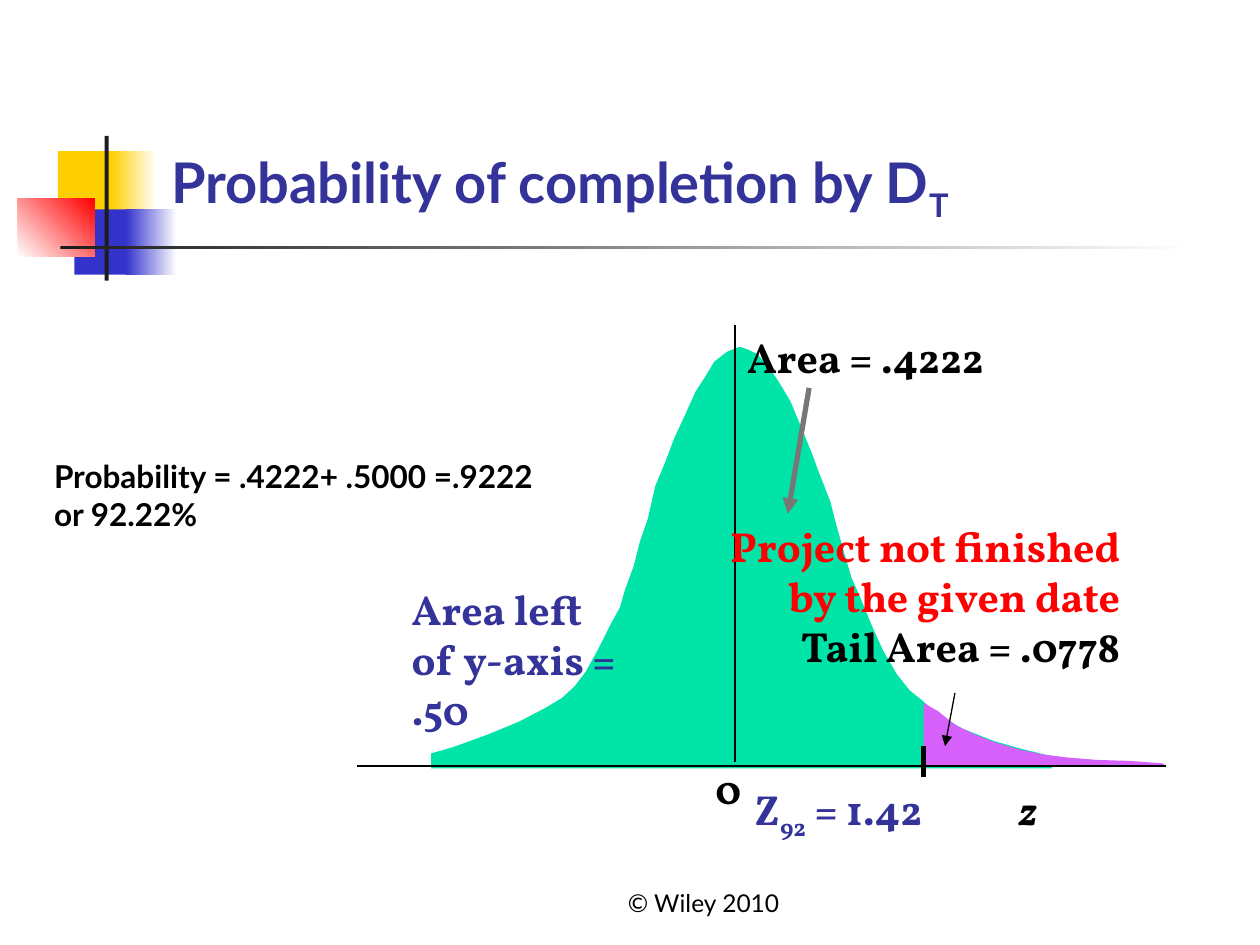
from lxml.etree import SubElement
from pptx import Presentation
from pptx.dml.color import RGBColor
from pptx.enum.shapes import MSO_CONNECTOR, MSO_SHAPE
from pptx.enum.text import MSO_ANCHOR, PP_ALIGN
from pptx.oxml.ns import qn
from pptx.util import Cm, Pt

BLACK = RGBColor(0x00, 0x00, 0x00)
CHARCOAL = RGBColor(0x1C, 0x1C, 0x1C)
GREY = RGBColor(0x77, 0x77, 0x77)
WHITE = RGBColor(0xFF, 0xFF, 0xFF)
YELLOW = RGBColor(0xFF, 0xCF, 0x01)
BLUE = RGBColor(0x33, 0x33, 0xCC)
NAVY = RGBColor(0x33, 0x33, 0x99)
RED = RGBColor(0xFF, 0x00, 0x00)
GREEN = RGBColor(0x00, 0xE4, 0xA8)
VIOLET = RGBColor(0xD5, 0x60, 0xFA)

SANS, SERIF = "Lato", "Vollkorn"
SUBSCRIPT = -25000

# All positions are in centimetres.
# left, top, width, height, colours (two make a gradient), gradient angle
ORNAMENTS = [
    (1.17, 3.05, 1.22, 1.32, [YELLOW], 0),
    (2.24, 3.05, 0.91, 1.32, [YELLOW, WHITE], 0),
    (1.50, 4.22, 1.17, 1.32, [BLUE], 0),
    (2.54, 4.22, 1.02, 1.32, [BLUE, WHITE], 0),
    (0.36, 4.01, 1.55, 1.17, [WHITE, RED], 45),
    (2.11, 2.74, 0.08, 2.92, [CHARCOAL], 0),
    (1.22, 4.95, 22.86, 0.08, [CHARCOAL, WHITE], 0),
]

BELL = [
    (8.69, 15.49), (8.69, 15.19), (9.14, 15.06), (9.83, 14.81), (10.46, 14.55),
    (11.0, 14.27), (11.33, 14.07), (11.58, 13.84), (11.81, 13.54), (12.09, 13.03),
    (12.32, 12.57), (12.5, 12.24), (12.6, 11.89), (12.78, 11.4), (12.9, 10.92),
    (13.06, 10.46), (13.21, 9.8), (13.41, 9.32), (13.59, 8.84), (13.79, 8.41),
    (14.02, 7.9), (14.22, 7.59), (14.4, 7.29), (14.66, 7.09), (14.91, 6.99),
    (15.06, 7.04), (15.27, 7.14), (15.47, 7.37), (15.67, 7.65), (15.93, 8.08),
    (16.13, 8.56), (16.38, 9.17), (16.48, 9.45), (16.74, 10.11), (16.87, 10.62),
    (17.02, 11.15), (17.17, 11.66), (17.32, 11.99), (17.58, 12.62), (17.81, 13.13),
    (18.08, 13.59), (18.34, 13.92), (18.59, 14.12), (18.85, 14.35), (19.38, 14.68),
    (20.04, 14.94), (20.57, 15.09), (21.18, 15.24), (21.21, 15.49),
]
TAIL = [
    (18.62, 14.17), (18.9, 14.33), (19.25, 14.61), (19.66, 14.81), (20.04, 14.96),
    (20.55, 15.11), (21.03, 15.21), (21.51, 15.27), (22.12, 15.32), (22.78, 15.34),
    (23.44, 15.39), (23.5, 15.44), (18.62, 15.44),
]

# start, end, colour, width in points, arrowhead at the end
LINES = [
    ((7.19, 15.44), (23.5, 15.44), BLACK, 1, False),
    ((14.81, 6.55), (14.81, 15.37), BLACK, 1, False),
    ((16.31, 7.82), (15.88, 10.36), GREY, 3, True),
    ((19.25, 13.97), (19.05, 15.04), BLACK, 0.75, True),
    ((18.62, 15.04), (18.62, 15.67), BLACK, 3, False),
]

LABEL = {"name": SERIF, "size": Pt(24), "bold": True}
TITLE = {"name": SANS, "size": Pt(32), "bold": True}
RESULT = {"name": SANS, "size": Pt(18), "bold": True}
FOOTER = {"name": SANS, "size": Pt(14)}
Z_AXIS = {**LABEL, "italic": True}

LEFT = {"alignment": PP_ALIGN.LEFT}
RIGHT = {"alignment": PP_ALIGN.RIGHT}
CENTER = {"alignment": PP_ALIGN.CENTER}
TOP, BOTTOM = MSO_ANCHOR.TOP, MSO_ANCHOR.BOTTOM

# box, font, paragraph format, anchor, wrap, paragraphs of (text, colour, baseline)
TEXTS = [
    ((10.16, 17.35, 8.05, 1.27), FOOTER, CENTER, BOTTOM, True,
     [[("© Wiley 2010", BLACK, 0)]]),
    ((3.2, 0.58, 21.64, 4.06), TITLE, LEFT, BOTTOM, True,
     [[("Probability of completion by D", NAVY, 0), ("T", NAVY, SUBSCRIPT)]]),
    ((14.96, 15.67, 4.19, 1.4), LABEL, LEFT, TOP, False,
     [[("Z", NAVY, 0), ("92", NAVY, SUBSCRIPT), (" = 1.42", NAVY, 0)]]),
    ((20.29, 15.67, 0.97, 1.27), Z_AXIS, LEFT, TOP, False, [[("z", BLACK, 0)]]),
    ((14.17, 15.24, 0.91, 1.27), LABEL, LEFT, TOP, True, [[("0", BLACK, 0)]]),
    ((14.4, 10.36, 8.43, 4.32), LABEL, RIGHT, TOP, True,
     [[("Project not finished", RED, 0)],
      [("by the given date", RED, 0)],
      [("Tail Area = .0778", BLACK, 0)]]),
    ((14.81, 6.55, 5.64, 1.27), LABEL, LEFT, TOP, False,
     [[("Area = .4222", BLACK, 0)]]),
    ((8.05, 11.63, 4.65, 3.3), LABEL, LEFT, TOP, True,
     [[("Area left of y-axis = .50", NAVY, 0)]]),
    ((0.84, 9.09, 10.8, 1.78), RESULT, LEFT, TOP, True,
     [[("Probability = .4222+ .5000 =.9222 or 92.22%", BLACK, 0)]]),
]


def set_attributes(target, values):
    for key, value in values.items():
        setattr(target, key, value)


def paint(shape, colours, angle=0):
    shape.shadow.inherit = False
    shape.line.fill.background()
    if len(colours) == 1:
        shape.fill.solid()
        shape.fill.fore_color.rgb = colours[0]
        return
    shape.fill.gradient()
    shape.fill.gradient_angle = angle
    for stop, colour in zip(shape.fill.gradient_stops, colours):
        stop.color.rgb = colour


def add_area(shapes, outline, colour):
    start, *rest = [(Cm(x), Cm(y)) for x, y in outline]
    builder = shapes.build_freeform(*start)
    builder.add_line_segments(rest, close=True)
    paint(builder.convert_to_shape(), [colour])


def add_line(shapes, start, end, colour, width, arrow):
    ends = [Cm(value) for value in start + end]
    connector = shapes.add_connector(MSO_CONNECTOR.STRAIGHT, *ends)
    connector.line.color.rgb = colour
    connector.line.width = Pt(width)
    if arrow:
        SubElement(connector.line._get_or_add_ln(), qn("a:tailEnd"), type="triangle")
    SubElement(connector._element.spPr, qn("a:effectLst"))


def add_text(shapes, box, font, layout, anchor, wrap, paragraphs):
    frame = shapes.add_textbox(*map(Cm, box)).text_frame
    set_attributes(frame, {"word_wrap": wrap, "vertical_anchor": anchor})
    for index, pieces in enumerate(paragraphs):
        paragraph = frame.add_paragraph() if index else frame.paragraphs[0]
        set_attributes(paragraph, layout)
        for text, colour, baseline in pieces:
            run = paragraph.add_run()
            run.text = text
            set_attributes(run.font, font)
            run.font.color.rgb = colour
            if baseline:
                run.font._element.set("baseline", str(baseline))


def main():
    deck = Presentation()
    deck.slide_width, deck.slide_height = Cm(25.4), Cm(19.05)
    shapes = deck.slides.add_slide(deck.slide_layouts[6]).shapes
    for *box, colours, angle in ORNAMENTS:
        ornament = shapes.add_shape(MSO_SHAPE.RECTANGLE, *map(Cm, box))
        paint(ornament, colours, angle)
    add_area(shapes, BELL, GREEN)
    add_area(shapes, TAIL, VIOLET)
    for line in LINES:
        add_line(shapes, *line)
    for text in TEXTS:
        add_text(shapes, *text)
    deck.save("out.pptx")


if __name__ == "__main__":
    main()
